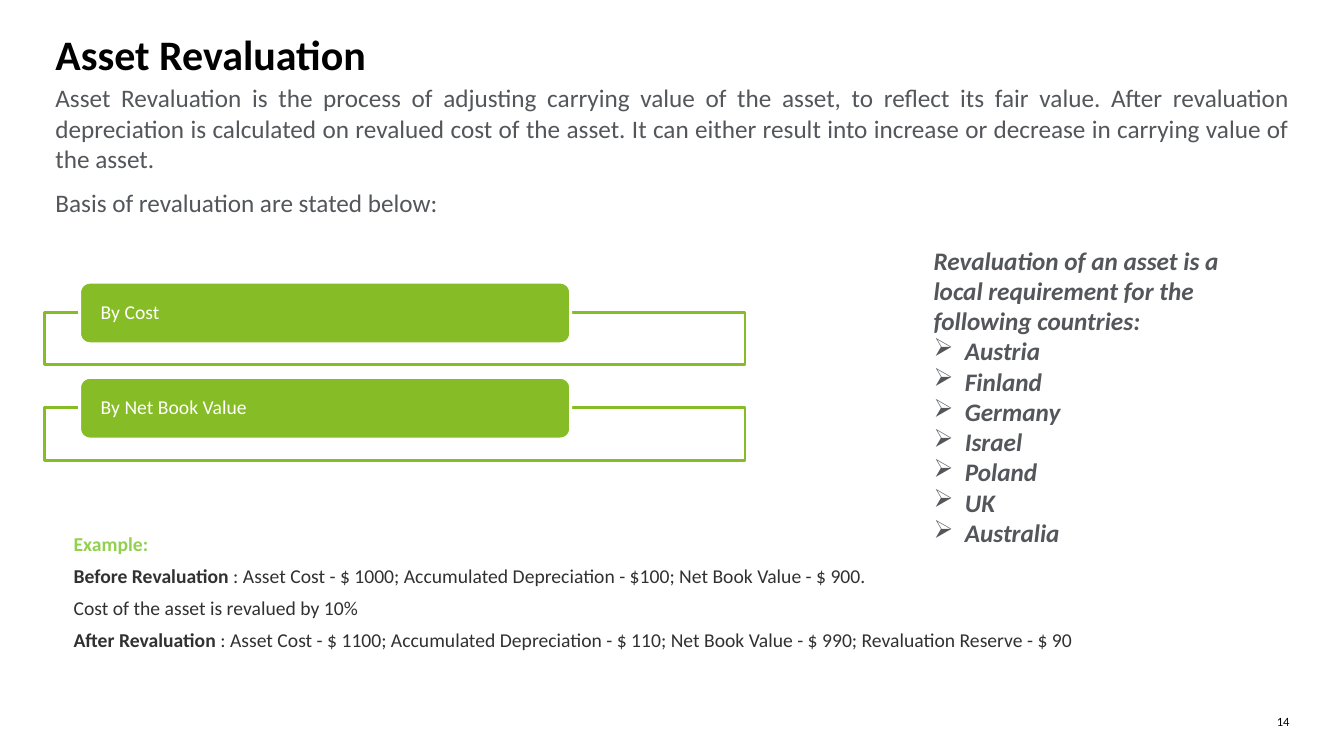
from dataclasses import dataclass

from lxml import etree
from pptx import Presentation
from pptx.dml.color import RGBColor
from pptx.enum.shapes import MSO_SHAPE
from pptx.enum.text import MSO_ANCHOR, PP_ALIGN
from pptx.oxml.ns import qn
from pptx.util import Inches, Pt

RECT, ROUND_RECT = MSO_SHAPE.RECTANGLE, MSO_SHAPE.ROUNDED_RECTANGLE
LEFT, RIGHT, JUSTIFY = PP_ALIGN.LEFT, PP_ALIGN.RIGHT, PP_ALIGN.JUSTIFY
TOP, MIDDLE = MSO_ANCHOR.TOP, MSO_ANCHOR.MIDDLE

FONT = "Calibri"
BLACK = RGBColor(0x00, 0x00, 0x00)
WHITE = RGBColor(0xFF, 0xFF, 0xFF)
GREY = RGBColor(0x53, 0x56, 0x5A)
DARK = RGBColor(0x31, 0x31, 0x31)
GREEN = RGBColor(0x86, 0xBC, 0x25)
LIME = RGBColor(0x92, 0xD0, 0x50)

BASES = ["By Cost", "By Net Book Value"]
BASIS_TOP, BASIS_STEP = 2.8, 0.945
COUNTRIES = ["Austria", "Finland", "Germany", "Israel", "Poland", "UK", "Australia"]


@dataclass
class Run:
    text: str
    size: float
    color: RGBColor
    bold: bool = False
    italic: bool = False


@dataclass
class Para:
    runs: list[Run]
    align: PP_ALIGN = LEFT
    before: float = 0
    after: float = 0
    bullet: str = ""


def add_run(p, run: Run) -> None:
    r = p.add_run()
    r.text = run.text
    font = r.font
    font.name, font.size = FONT, Pt(run.size)
    font.bold, font.italic = run.bold, run.italic
    font.color.rgb = run.color


def add_bullet(p, char: str) -> None:
    pPr = p._p.get_or_add_pPr()
    pPr.set("marL", str(Inches(0.31)))
    pPr.set("indent", str(Inches(-0.31)))
    etree.SubElement(pPr, qn("a:buChar")).set("char", char)


def add_text(s, x: float, y: float, w: float, h: float,
             paras: list[Para], anchor: MSO_ANCHOR = TOP) -> None:
    tf = s.shapes.add_textbox(Inches(x), Inches(y), Inches(w), Inches(h)).text_frame
    tf.word_wrap = True
    tf.vertical_anchor = anchor
    tf.margin_left = tf.margin_right = tf.margin_top = tf.margin_bottom = 0
    for i, para in enumerate(paras):
        p = tf.paragraphs[0] if i == 0 else tf.add_paragraph()
        p.alignment = para.align
        p.space_before, p.space_after = Pt(para.before), Pt(para.after)
        if para.bullet:
            add_bullet(p, para.bullet)
        for run in para.runs:
            add_run(p, run)


def add_box(s, kind: MSO_SHAPE, x: float, y: float, w: float, h: float,
            fill: RGBColor, line: RGBColor):
    sp = s.shapes.add_shape(kind, Inches(x), Inches(y), Inches(w), Inches(h))
    sp.shadow.inherit = False
    sp.fill.solid()
    sp.fill.fore_color.rgb = fill
    sp.line.color.rgb = line
    sp.line.width = Pt(2)
    return sp


def add_basis(s, y: float, label: str) -> None:
    """Draw an outlined frame with a green label bar over its top edge."""
    frame = add_box(s, RECT, 0.44, y + 0.3, 6.95, 0.52, WHITE, GREEN)
    color = frame.fill._xPr.find(qn("a:solidFill"))[0]
    etree.SubElement(color, qn("a:alpha")).set("val", "90000")

    bar = add_box(s, ROUND_RECT, 0.79, y, 4.87, 0.61, GREEN, WHITE)
    tf = bar.text_frame
    tf.word_wrap = True
    tf.vertical_anchor = MIDDLE
    tf.margin_left = tf.margin_right = Inches(0.18)
    tf.margin_top = tf.margin_bottom = 0
    p = tf.paragraphs[0]
    p.alignment = LEFT
    p.line_spacing = 0.9
    add_run(p, Run(label, 14, WHITE))


def main() -> None:
    prs = Presentation()
    prs.slide_width, prs.slide_height = Inches(13.33), Inches(7.5)
    s = prs.slides.add_slide(prs.slide_layouts[6])

    add_text(s, 0.55, 0.35, 12.24, 0.37,
             [Para([Run("Asset Revaluation", 30, BLACK, bold=True)])], MIDDLE)

    intro = [
        "Asset Revaluation is the process of adjusting carrying value of the asset, "
        "to reflect its fair value. After revaluation depreciation is calculated on "
        "revalued cost of the asset. It can either result into increase or decrease "
        "in carrying value of the asset.",
        "Basis of revaluation are stated below:",
    ]
    add_text(s, 0.55, 0.82, 12.24, 1.5,
             [Para([Run(t, 18, GREY)], JUSTIFY, after=10) for t in intro])

    for i, label in enumerate(BASES):
        add_basis(s, BASIS_TOP + i * BASIS_STEP, label)

    example = [
        [Run("Example:", 14, LIME, bold=True)],
        [Run("Before Revaluation", 14, DARK, bold=True),
         Run(" : Asset Cost - $ 1000; Accumulated Depreciation - $100; "
             "Net Book Value - $ 900.", 14, DARK)],
        [Run("Cost of the asset is revalued by 10%", 14, DARK)],
        [Run("After Revaluation", 14, DARK, bold=True),
         Run(" : Asset Cost - $ 1100; Accumulated Depreciation - $ 110; "
             "Net Book Value - $ 990; Revaluation Reserve - $ 90", 14, DARK)],
    ]
    add_text(s, 0.73, 5.28, 10.99, 1.19,
             [Para(runs, before=6 if i else 0) for i, runs in enumerate(example)])

    heading = ("Revaluation of an asset is a local requirement "
               "for the following countries:")
    countries = [Para([Run(heading, 18, GREY, True, True)])]
    countries += [Para([Run(name, 18, GREY, True, True)], JUSTIFY, bullet="➢")
                  for name in COUNTRIES]
    add_text(s, 9.26, 2.43, 3.16, 1.5, countries)

    add_text(s, 12.45, 7.08, 0.34, 0.15, [Para([Run("14", 9, BLACK)], RIGHT)])

    prs.save("out.pptx")


if __name__ == "__main__":
    main()
